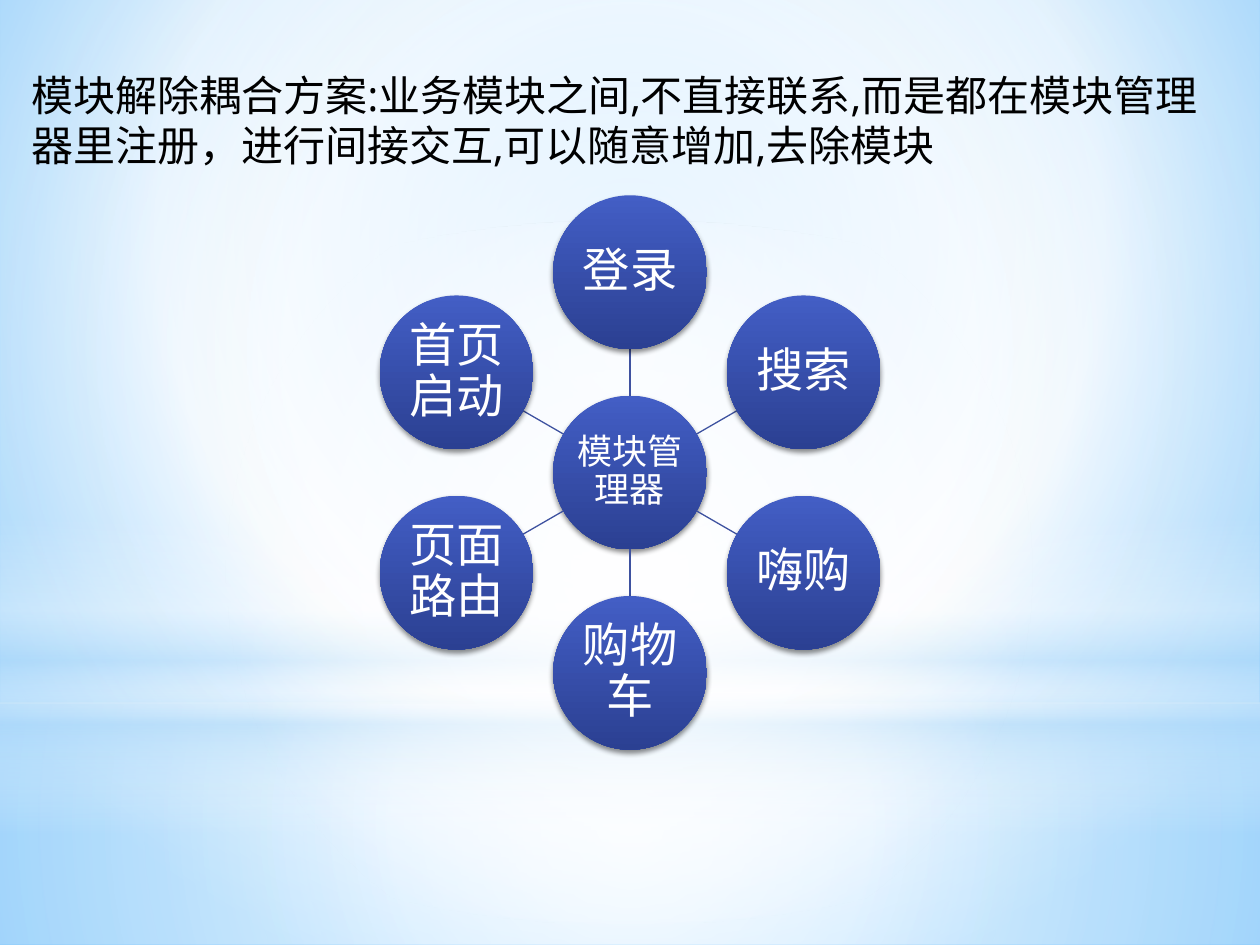
from math import cos, radians, sin

from lxml.etree import SubElement
from pptx import Presentation
from pptx.dml.color import RGBColor
from pptx.enum.shapes import MSO_CONNECTOR as CONN, MSO_SHAPE as SHAPE
from pptx.enum.text import MSO_ANCHOR as ANCHOR, MSO_AUTO_SIZE as FIT, PP_ALIGN as ALIGN
from pptx.oxml import parse_xml
from pptx.oxml.ns import nsdecls, qn
from pptx.util import Inches, Pt

WIDTH, HEIGHT = 10, 7.5
HORIZON = 5.58
CENTER = (5, 3.75)
DIAMETER, ORBIT = 1.22, 1.59
FONT = "Open Sans"
CENTERED = (50, 50, 50, 50)
TITLE = "模块解除耦合方案:业务模块之间,不直接联系,而是都在模块管理器里注册，进行间接交互,可以随意增加,去除模块"
MODULES = ["登录", "搜索", "嗨购", "购物车", "页面路由", "首页启动"]
BANDS = [
    (SHAPE.RECTANGLE, HORIZON, HEIGHT - HORIZON,
     [(0, "FFFFFF", 91), (37, "FFFFFF", 76), (100, "B4DCFA", 79)], CENTERED),
    (SHAPE.RECTANGLE, 0, HORIZON, [(0, "FFFFFF", 89), (48, "FFFFFF", 62), (100, "B4DCFA", 79)], CENTERED),
    (SHAPE.RECTANGLE, 4.12, HEIGHT / 3, [(0, "FFFFFF", 0), (29, "FFFFFF", 30), (45, "B4DCFA", 40),
                                         (55, "FFFFFF", 26), (65, "B4DCFA", 60), (100, "FFFFFF", 0)], None),
    (SHAPE.OVAL, 1.75, HORIZON, [(0, "FFFFFF", 100), (56, "FFFFFF", 0)], CENTERED),
]


def color(value):
    """Turn a hex string into a colour."""
    return RGBColor.from_string(value)


def set_gradient(props, stops, focus=None):
    """Swap a solid fill for a vertical gradient, or a radial one around focus."""
    marks = "".join(
        f'<a:gs pos="{pos * 1000}"><a:srgbClr val="{value}">'
        f'<a:alpha val="{alpha * 1000}"/></a:srgbClr></a:gs>'
        for pos, value, alpha in stops)
    if focus:
        sides = " ".join(f'{side}="{share * 1000}"' for side, share in zip("ltrb", focus))
        course = f'<a:path path="circle"><a:fillToRect {sides}/></a:path>'
    else:
        course = '<a:lin ang="5400000" scaled="0"/>'
    grad = parse_xml(f'<a:gradFill {nsdecls("a")} rotWithShape="1">'
                     f'<a:gsLst>{marks}</a:gsLst>{course}</a:gradFill>')
    props.replace(props.find(qn("a:solidFill")), grad)


def add_run(p, text, size, value):
    """Add one run of text in the slide's font."""
    r = p.add_run()
    r.text = text
    r.font.size, r.font.name = Pt(size), FONT
    r.font.color.rgb = color(value)
    SubElement(r.font._element, qn("a:ea")).set("typeface", FONT)


def add_filled(s, kind, box, stops, focus=None):
    """Add a borderless preset shape with a gradient fill."""
    sp = s.shapes.add_shape(kind, *map(Inches, box))
    sp.shadow.inherit = False
    sp.line.fill.background()
    sp.fill.solid()
    set_gradient(sp._element.spPr, stops, focus)
    return sp


def add_backdrop(s):
    """Paint the background and the translucent bands over it."""
    s.background.fill.solid()
    set_gradient(s.element.find(".//" + qn("p:bgPr")),
                 [(0, "9ED5FF", 100), (60, "FFFFFF", 100), (100, "5BB9FF", 100)], (20, 10, 20, 60))
    for kind, top, height, stops, focus in BANDS:
        add_filled(s, kind, (0, top, WIDTH, height), stops, focus)


def add_title(s):
    """Move, format and bring forward the title placeholder."""
    sp = s.shapes.title
    sp.left, sp.top, sp.width, sp.height = map(Inches, (0.15, 0.5, 9.67, 0.91))
    tf = sp.text_frame
    tf.word_wrap, tf.auto_size = True, FIT.SHAPE_TO_FIT_TEXT
    tf.vertical_anchor = ANCHOR.TOP
    p = tf.paragraphs[0]
    p.alignment = ALIGN.LEFT
    add_run(p, TITLE, 24, "000000")
    s.shapes._spTree.append(sp._element)


def polar(angle, distance):
    """Give the point at an angle and distance from the hub's centre."""
    return (CENTER[0] + distance * cos(radians(angle)),
            CENTER[1] + distance * sin(radians(angle)))


def add_node(s, center, text, size, inset):
    """Add a shaded circle with centred text."""
    x, y = center
    box = (x - DIAMETER / 2, y - DIAMETER / 2, DIAMETER, DIAMETER)
    sp = add_filled(s, SHAPE.OVAL, box, [(0, "435EC5", 100), (100, "2B4092", 100)])
    sp._element.spPr.find(qn("a:effectLst")).append(parse_xml(
        f'<a:outerShdw {nsdecls("a")} blurRad="{Pt(3.1)}" dist="{Pt(1.8)}" dir="5400000" '
        'rotWithShape="0"><a:srgbClr val="000000"><a:alpha val="45000"/></a:srgbClr></a:outerShdw>'))
    tf = sp.text_frame
    tf.word_wrap, tf.vertical_anchor = True, ANCHOR.MIDDLE
    tf.margin_left = tf.margin_right = tf.margin_top = tf.margin_bottom = Inches(inset)
    p = tf.paragraphs[0]
    p.alignment, p.line_spacing = ALIGN.CENTER, 0.9
    p.space_after = Pt(size * 0.35)
    add_run(p, text, size, "FFFFFF")


def add_spoke(s, angle):
    """Join the hub's edge to the edge of the module at an angle."""
    ends = polar(angle, DIAMETER / 2) + polar(angle, ORBIT - DIAMETER / 2)
    line = s.shapes.add_connector(CONN.STRAIGHT, *map(Inches, ends))
    line.line.color.rgb, line.line.width = color("3E52A0"), Pt(0.75)
    SubElement(line._element.spPr, qn("a:effectLst"))


def main():
    """Build the slide and save it."""
    prs = Presentation()
    prs.slide_width, prs.slide_height = Inches(WIDTH), Inches(HEIGHT)
    s = prs.slides.add_slide(prs.slide_layouts[5])
    add_backdrop(s)
    add_node(s, CENTER, "模块管理器", 20, 0.01)
    for i, name in enumerate(MODULES):
        angle = i * 360 / len(MODULES) - 90
        add_spoke(s, angle)
        add_node(s, polar(angle, ORBIT), name, 27, 0.02)
    add_title(s)
    prs.save("out.pptx")


main()
